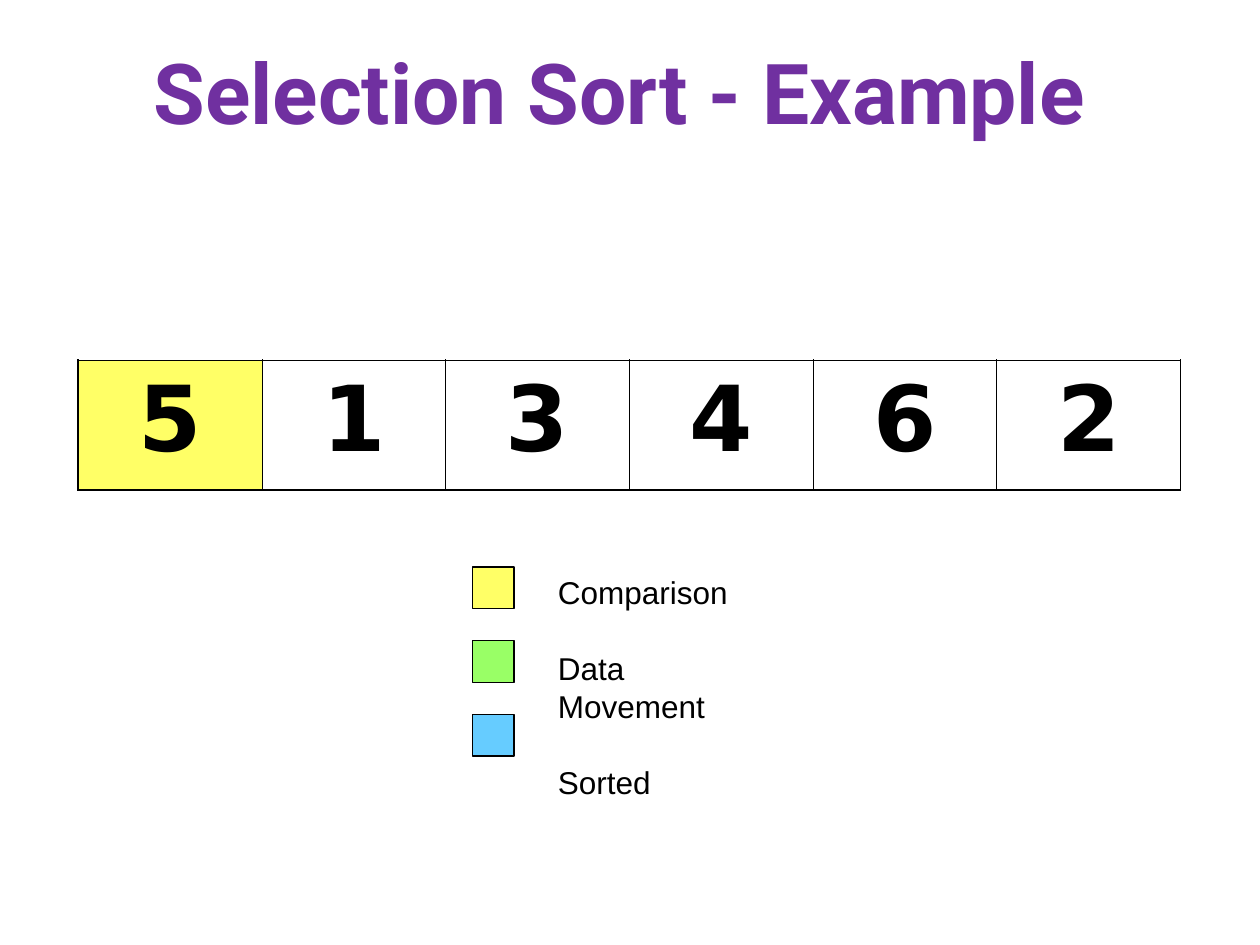
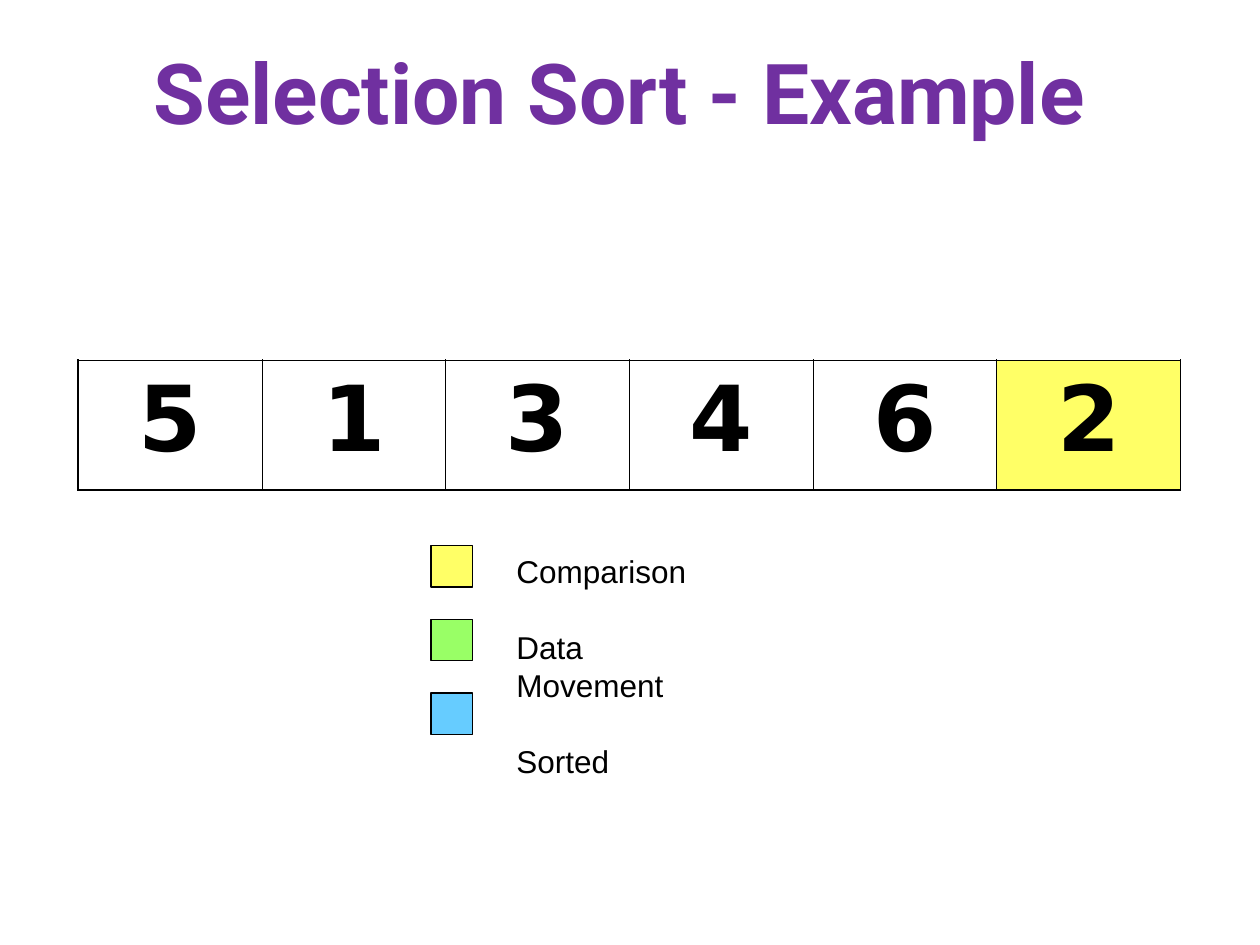
from lxml import etree
from pptx import Presentation
from pptx.dml.color import RGBColor
from pptx.enum.shapes import MSO_SHAPE
from pptx.enum.text import MSO_ANCHOR, MSO_AUTO_SIZE, PP_ALIGN
from pptx.oxml.ns import qn
from pptx.util import Inches, Pt

COLOURS = {
    "title": "7030A0",
    "ink": "000000",
    "comparison": "FFFF66",
    "movement": "99FF66",
    "sorted": "66CCFF",
}
TITLE = "Selection Sort - Example "
NUMBERS = [5, 1, 3, 4, 6, 2]
LEGEND = [
    ("Comparison", "comparison"),
    ("Data Movement", "movement"),
    ("Sorted", "sorted"),
]
TITLE_BOX = (0.25, 0.2, 9.5, 1.05)
ARRAY_BOX = (0.62, 2.86, 8.75, 1.03)
OUTER_LINE, INNER_LINE = Pt(1.08), Pt(0.45)

# Index of the number being compared, and top left corner of the legend
STEPS = [
    (0, (3.75, 4.5)),
    (5, (3.42, 4.33)),
]


def colour(name):
    return RGBColor.from_string(COLOURS[name])


def set_font(paragraph, name, size, colour_name="ink", bold=False):
    font = paragraph.font
    font.name, font.size, font.bold = name, Pt(size), bold
    font.color.rgb = colour(colour_name)


def add_title(slide, box):
    title = slide.shapes.title
    title.left, title.top, title.width, title.height = map(Inches, box)
    frame = title.text_frame
    frame.text = TITLE
    frame.auto_size = MSO_AUTO_SIZE.NONE
    frame.vertical_anchor = MSO_ANCHOR.MIDDLE
    paragraph = frame.paragraphs[0]
    paragraph.alignment = PP_ALIGN.CENTER
    set_font(paragraph, "Roboto", 48, "title", bold=True)


def set_borders(cell, widths):
    """Draw the left, right, top and bottom borders; call before filling the cell."""
    properties = cell._tc.get_or_add_tcPr()
    for side, width in zip("LRTB", widths):
        line = etree.SubElement(properties, qn(f"a:ln{side}"), w=str(width))
        fill = etree.SubElement(line, qn("a:solidFill"))
        etree.SubElement(fill, qn("a:srgbClr"), val=COLOURS["ink"])


def add_array(slide, box, compared):
    count = len(NUMBERS)
    table = slide.shapes.add_table(1, count, *map(Inches, box)).table
    table.first_row = table.horz_banding = False
    for index, number in enumerate(NUMBERS):
        table.columns[index].width = Inches(box[2] / count)
        cell = table.cell(0, index)
        left = OUTER_LINE if index == 0 else INNER_LINE
        right = OUTER_LINE if index == count - 1 else INNER_LINE
        set_borders(cell, (left, right, OUTER_LINE, OUTER_LINE))
        if index == compared:
            cell.fill.solid()
            cell.fill.fore_color.rgb = colour("comparison")
        else:
            cell.fill.background()
        cell.text = str(number)
        paragraph = cell.text_frame.paragraphs[0]
        paragraph.alignment = PP_ALIGN.CENTER
        set_font(paragraph, "DejaVu Sans", 52, bold=True)


def add_legend(slide, left, top):
    side, span = 0.33, 1.17
    pitch = span / (len(LEGEND) - 1)
    line_height = Pt(21.7)
    labels = slide.shapes.add_textbox(
        Inches(left + 0.58), Inches(top), Inches(1.96), Inches(1.6))
    frame = labels.text_frame
    frame.word_wrap = False
    for index, (label, fill_name) in enumerate(LEGEND):
        swatch = slide.shapes.add_shape(
            MSO_SHAPE.RECTANGLE, Inches(left), Inches(top + index * pitch),
            Inches(side), Inches(side))
        swatch.shadow.inherit = False
        swatch.fill.solid()
        swatch.fill.fore_color.rgb = colour(fill_name)
        swatch.line.color.rgb = colour("ink")
        swatch.line.width = Pt(0.75)

        paragraph = frame.add_paragraph() if index else frame.paragraphs[0]
        paragraph.text = label
        paragraph.line_spacing = line_height
        if index:
            paragraph.space_before = line_height
        set_font(paragraph, "Arial", 18)


def add_step_slide(presentation, compared, legend_corner):
    slide = presentation.slides.add_slide(presentation.slide_layouts[5])
    add_title(slide, TITLE_BOX)
    add_array(slide, ARRAY_BOX, compared)
    add_legend(slide, *legend_corner)


def main():
    presentation = Presentation()
    presentation.slide_width = Inches(10)
    presentation.slide_height = Inches(7.5)
    for compared, legend_corner in STEPS:
        add_step_slide(presentation, compared, legend_corner)
    presentation.save("out.pptx")


if __name__ == "__main__":
    main()
